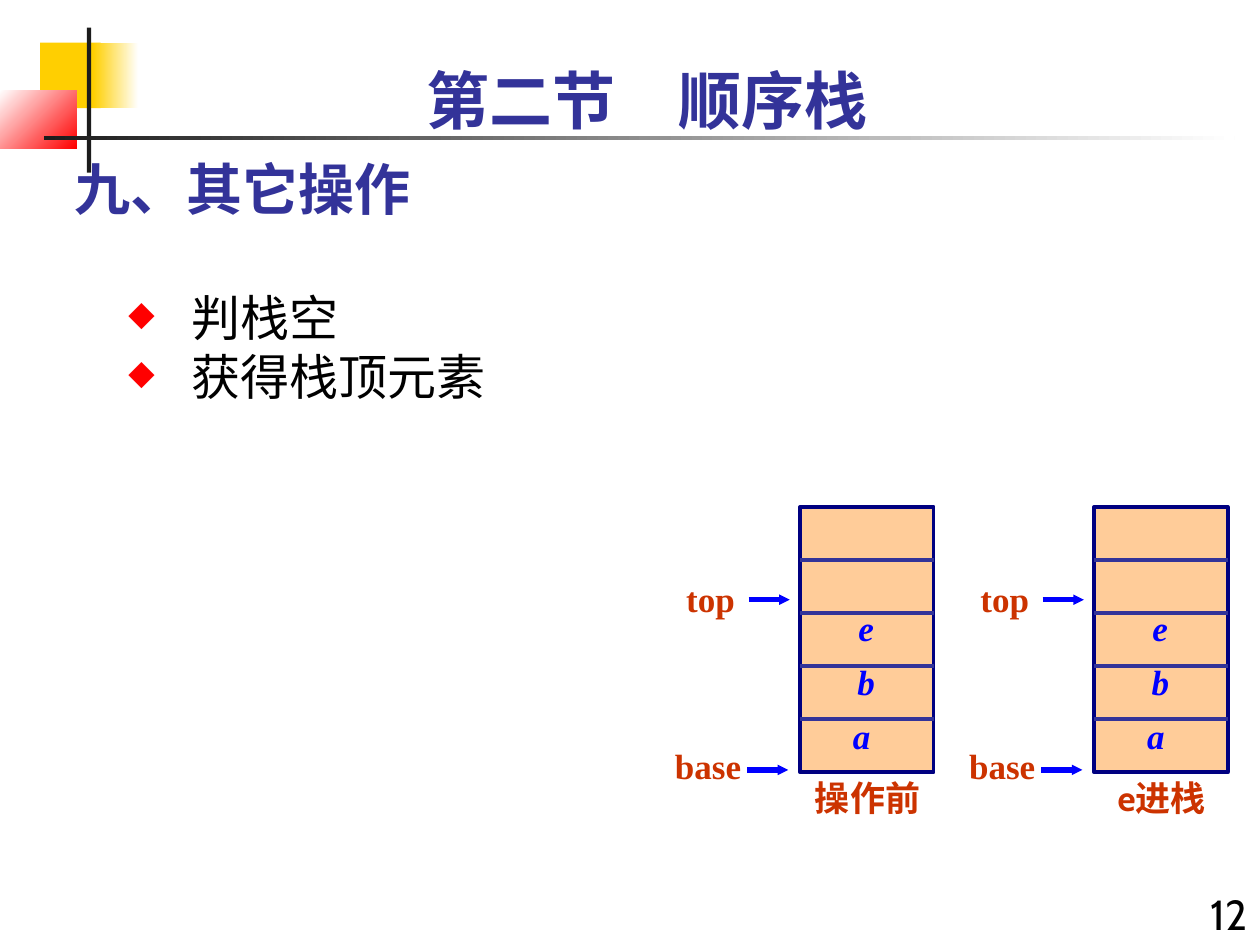
from pptx import Presentation
from pptx.dml.color import RGBColor
from pptx.enum.shapes import MSO_CONNECTOR as LINE, MSO_SHAPE as SHAPE
from pptx.enum.text import MSO_ANCHOR as ANCHOR, PP_ALIGN as ALIGN
from pptx.oxml.ns import qn
from pptx.util import Cm, Pt
from lxml.etree import SubElement

COLORS = {
    "yellow": "FFCF01", "white": "FFFFFF", "red": "FF0000", "dark": "1C1C1C",
    "indigo": "333399", "black": "000000", "blue": "0000FF", "rust": "CC3300",
    "peach": "FFCC99", "navy": "000080",
}
RGB = {name: RGBColor.from_string(value) for name, value in COLORS.items()}
CJK, SANS, SERIF = "Noto Sans CJK SC", "Cabin", "Times New Roman"


def write(frame, lines, size, font, color, bold=False, italic=False, align=ALIGN.LEFT):
    for i, line in enumerate(lines):
        paragraph = frame.paragraphs[0] if i == 0 else frame.add_paragraph()
        paragraph.alignment = align
        run = paragraph.add_run()
        run.text = line
        run.font.size, run.font.name = Pt(size), font
        run.font.bold, run.font.italic = bold, italic
        run.font.color.rgb = RGB[color]
        SubElement(run.font._element, qn("a:ea")).set("typeface", CJK)


def draw_line(shapes, x1, y1, x2, y2, color, width):
    line = shapes.add_connector(LINE.STRAIGHT, Cm(x1), Cm(y1), Cm(x2), Cm(y2))
    line.line.color.rgb = RGB[color]
    line.line.width = Pt(width)
    SubElement(line._element.spPr, qn("a:effectLst"))
    return line


prs = Presentation()
prs.slide_width, prs.slide_height = Cm(25.4), Cm(19.05)
slide = prs.slides.add_slide(prs.slide_layouts[5])
section = slide.shapes.title

ornaments = [
    (0.81, 0.86, 1.22, 1.32, ["yellow"], 0),
    (1.88, 0.86, 0.91, 1.32, ["yellow", "white"], 0),
    (0, 1.83, 1.55, 1.17, ["white", "red"], 315),
    (1.75, 0.56, 0.09, 2.92, ["dark"], 0),
    (0.89, 2.74, 24, 0.09, ["dark", "white"], 0),
]
for x, y, w, h, fills, angle in ornaments:
    ornament = slide.shapes.add_shape(SHAPE.RECTANGLE, Cm(x), Cm(y), Cm(w), Cm(h))
    ornament.shadow.inherit = False
    ornament.line.fill.background()
    if len(fills) == 1:
        ornament.fill.solid()
        ornament.fill.fore_color.rgb = RGB[fills[0]]
    else:
        ornament.fill.gradient()
        ornament.fill.gradient_angle = angle
        for stop, fill, position in zip(ornament.fill.gradient_stops, fills, (0, 1)):
            stop.color.rgb = RGB[fill]
            stop.position = position
    section._element.addprevious(ornament._element)

section.left, section.top, section.width, section.height = Cm(1.24), Cm(2.69), Cm(15.88), Cm(1.91)
section.text_frame.vertical_anchor = ANCHOR.BOTTOM
write(section.text_frame, ["九、其它操作"], 32, CJK, "indigo", bold=True)

page_number = slide.shapes.add_textbox(Cm(23.7), Cm(17.78), Cm(1.7), Cm(1.5)).text_frame
page_number.word_wrap = True
write(page_number, ["12"], 24, SANS, "black", align=ALIGN.RIGHT)

chapter = slide.shapes.add_textbox(Cm(1.3), Cm(1.12), Cm(23.5), Cm(1.78)).text_frame
chapter.word_wrap = True
write(chapter, ["第二节　顺序栈"], 36, SANS, "indigo", bold=True, align=ALIGN.CENTER)

operations = slide.shapes.add_textbox(Cm(2.34), Cm(4.9), Cm(15.88), Cm(3.4)).text_frame
operations.word_wrap = True
operations.vertical_anchor = ANCHOR.BOTTOM
write(operations, ["判栈空", "获得栈顶元素"], 28, CJK, "black")
for operation in operations.paragraphs:
    properties = operation._p.get_or_add_pPr()
    properties.set("marL", str(Cm(1.27)))
    properties.set("indent", str(-Cm(1.27)))
    bullet_color = SubElement(properties, qn("a:buClr"))
    SubElement(bullet_color, qn("a:srgbClr")).set("val", COLORS["red"])
    SubElement(properties, qn("a:buSzPct")).set("val", "70000")
    SubElement(properties, qn("a:buChar")).set("char", "◆")

STACK_TOP, STACK_WIDTH, CELL = 10.22, 2.69, 1.07
for left, caption in [(22.06, "e进栈"), (16.13, "操作前")]:
    stack = slide.shapes.add_group_shape().shapes

    pointers = [
        ("top", -2.54, 11.51, 1.47, -1.04, 12.09),
        ("base", -2.77, 14.88, 1.83, -1.07, 15.52),
    ]
    for pointer, x, y, w, arrow_x, arrow_y in pointers:
        arrow = draw_line(stack, left + arrow_x, arrow_y, left + arrow_x + 0.83, arrow_y, "blue", 3)
        head = SubElement(arrow._element.spPr.find(qn("a:ln")), qn("a:tailEnd"))
        head.set("type", "triangle")
        head.set("w", "sm")
        head.set("len", "sm")
        label = stack.add_textbox(Cm(left + x), Cm(y), Cm(w), Cm(1.12)).text_frame
        label.word_wrap = False
        label.margin_left = label.margin_right = 0
        write(label, [pointer], 20, SERIF, "rust", bold=True, align=ALIGN.CENTER)

    storage = stack.add_shape(SHAPE.RECTANGLE, Cm(left), Cm(STACK_TOP), Cm(STACK_WIDTH), Cm(5 * CELL))
    storage.shadow.inherit = False
    storage.fill.solid()
    storage.fill.fore_color.rgb = RGB["peach"]
    storage.line.color.rgb = RGB["navy"]
    storage.line.width = Pt(2.25)
    for row in range(1, 5):
        y = STACK_TOP + row * CELL
        draw_line(stack, left, y, left + STACK_WIDTH, y, "indigo", 2.25)

    elements = stack.add_textbox(Cm(left + 0.63), Cm(11.97), Cm(1.4), Cm(3.4)).text_frame
    elements.word_wrap = True
    elements.margin_top = elements.margin_bottom = 0
    write(elements, ["e", "b", "a "], 20, SERIF, "blue", bold=True, italic=True, align=ALIGN.CENTER)
    for element in elements.paragraphs:
        element.line_spacing = Pt(31)

    state = stack.add_textbox(Cm(left - 0.23), Cm(15.52), Cm(3.18), Cm(1.12)).text_frame
    state.word_wrap = True
    write(state, [caption], 20, SANS, "rust", bold=True, align=ALIGN.CENTER)

prs.save("out.pptx")
